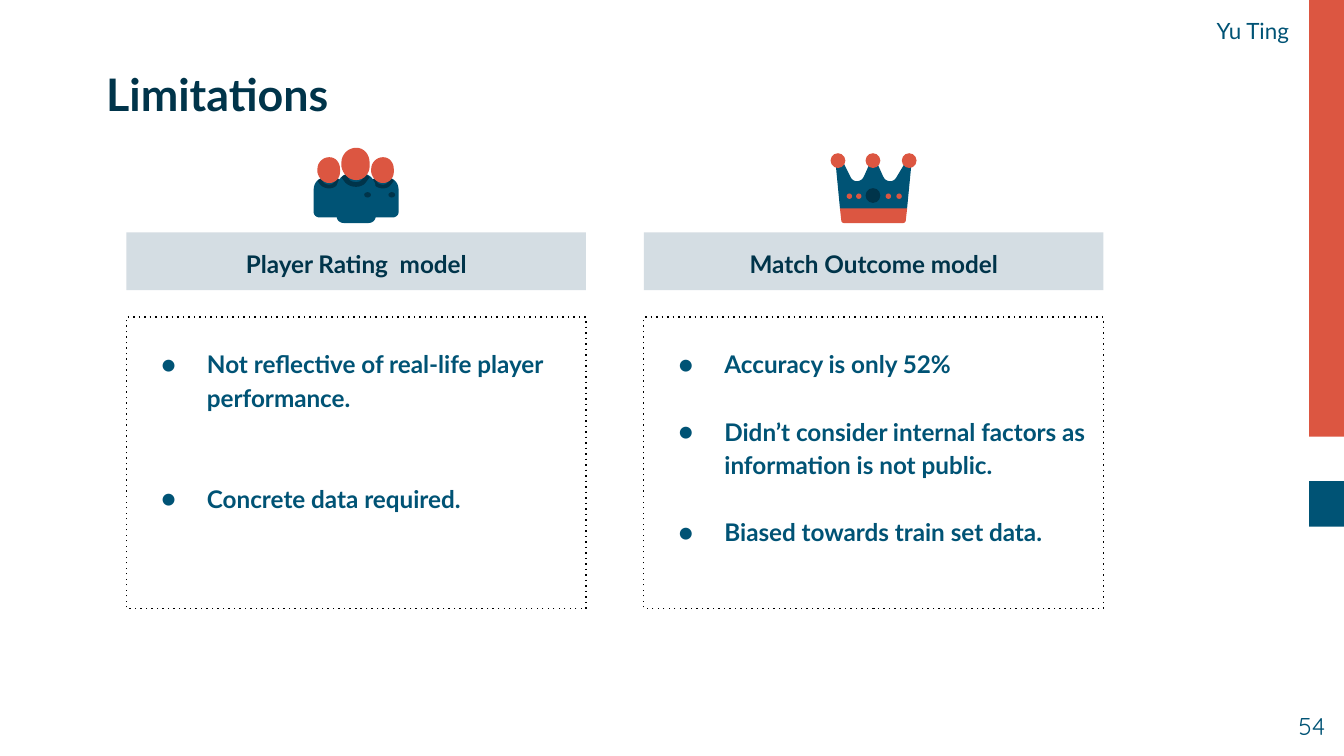
from dataclasses import dataclass

from lxml import etree
from pptx import Presentation
from pptx.dml.color import RGBColor
from pptx.enum import shapes, text
from pptx.oxml import ns
from pptx.util import Inches, Pt

COLORS = {"navy": "00344A", "blue": "005375", "red": "DC5641",
          "grey": "D4DDE3", "black": "000000"}
MSO, ALIGN, ANCHOR = shapes.MSO_SHAPE, text.PP_ALIGN, text.MSO_ANCHOR
COLUMN_WIDTH = 3.42


@dataclass
class Column:
    left: float
    heading: str
    bullets: list[str]
    gap: float  # points between bullets


COLUMNS = [
    Column(0.94, "Player Rating  model",
           ["Not reflective of real-life player performance.",
            "Concrete data required."], 36),
    Column(4.79, "Match Outcome model",
           ["Accuracy is only 52%",
            "Didn’t consider internal factors as information is not public.",
            "Biased towards train set data."], 18),
]

# Outlines: a pair is a line to a point, six numbers are a curve
HEAD = [(0, 0), (-0.06, 0, -0.11, 0.05, -0.11, 0.11), (-0.11, 0.14),
        (-0.1, 0.19, -0.06, 0.24, 0, 0.24), (0.06, 0.24, 0.1, 0.19, 0.1, 0.14),
        (0.1, 0.11), (0.1, 0.05, 0.06, 0, 0, 0)]
BODY = [(-0.04, 0.19), (-0.1, 0.19, -0.145, 0.24, -0.145, 0.3), (-0.145, 0.51),
        (-0.145, 0.54, -0.12, 0.56, -0.09, 0.56), (0.09, 0.56),
        (0.12, 0.56, 0.145, 0.54, 0.145, 0.51), (0.145, 0.3),
        (0.145, 0.24, 0.1, 0.19, 0.04, 0.19)]
COLLAR = [(-0.07, 0.2), (-0.09, 0.2, -0.1, 0.21, -0.11, 0.22), (-0.08, 0.26),
          (-0.04, 0.3, 0.04, 0.3, 0.07, 0.26), (0.1, 0.22),
          (0.09, 0.21, 0.08, 0.2, 0.07, 0.2), (0.04, 0.24),
          (0.02, 0.26, -0.02, 0.26, -0.05, 0.24)]
CROWN = [(-0.22, 0.08), (-0.28, 0.1), (-0.25, 0.41), (-0.21, 0.45),
         (0.21, 0.45), (0.25, 0.41), (0.28, 0.1), (0.23, 0.08), (0.17, 0.18),
         (0.15, 0.22, 0.09, 0.22, 0.07, 0.17), (0.03, 0.08), (-0.03, 0.08),
         (-0.07, 0.17), (-0.09, 0.22, -0.15, 0.22, -0.17, 0.18)]
CROWN_BAND = [(-0.25, 0.41), (-0.24, 0.5), (-0.24, 0.51, -0.23, 0.52, -0.22, 0.52),
              (0.22, 0.52), (0.23, 0.52, 0.24, 0.51, 0.24, 0.5), (0.25, 0.41)]


def rgb(name: str) -> RGBColor:
    return RGBColor.from_string(COLORS[name])


def paint(sp, color: str) -> None:
    sp.shadow.inherit = False
    sp.fill.solid()
    sp.fill.fore_color.rgb = rgb(color)
    sp.line.fill.background()


def add_preset(parent, kind, left: float, top: float, width: float,
               height: float, color: str) -> None:
    sp = parent.add_shape(kind, Inches(left), Inches(top), Inches(width), Inches(height))
    paint(sp, color)


def add_outline(parent, steps: list, cx: float, top: float, color: str,
                scale: float = 1) -> None:
    points = [steps[0]]
    for step in steps[1:]:
        if len(step) == 2:
            points.append(step)
            continue
        curve = [points[-1], step[:2], step[2:4], step[4:]]
        for i in range(1, 9):
            t = i / 8
            weights = ((1 - t) ** 3, 3 * t * (1 - t) ** 2, 3 * t * t * (1 - t), t ** 3)
            points.append(tuple(sum(w * c[axis] for w, c in zip(weights, curve))
                                for axis in (0, 1)))
    emu = [(Inches(cx + x * scale), Inches(top + y * scale)) for x, y in points]
    builder = parent.build_freeform(*emu[0])
    builder.add_line_segments(emu[1:], close=True)
    paint(builder.convert_to_shape(), color)


def add_person(parent, cx: float, top: float, scale: float) -> None:
    for steps, color in ((BODY, "blue"), (COLLAR, "navy"), (HEAD, "red")):
        add_outline(parent, steps, cx, top, color, scale)


def set_box(sp, left: float, top: float, width: float, height: float, anchor):
    sp.left, sp.top, sp.width, sp.height = map(Inches, (left, top, width, height))
    tf = sp.text_frame
    tf.word_wrap = True
    tf.auto_size = text.MSO_AUTO_SIZE.NONE
    tf.vertical_anchor = anchor
    tf.margin_left = tf.margin_right = tf.margin_top = tf.margin_bottom = Inches(0.1)
    return tf


def write(p, words: str, size: float, color: str, bold: bool = False,
          align=ALIGN.LEFT, font: str = "Lato", spacing: float = 1,
          before: float = 0) -> None:
    p.alignment, p.line_spacing = align, spacing
    p.space_before, p.space_after = Pt(before), Pt(0)
    r = p.add_run()
    r.text = words
    r.font.name, r.font.size, r.font.bold = font, Pt(size), bold
    r.font.color.rgb = rgb(color)


def add_bullet(p) -> None:
    pPr = p._p.get_or_add_pPr()
    pPr.set("marL", str(Inches(0.5)))
    pPr.set("indent", str(Inches(-0.34)))
    color = etree.SubElement(pPr, ns.qn("a:buClr"))
    etree.SubElement(color, ns.qn("a:srgbClr"), val=COLORS["blue"])
    etree.SubElement(pPr, ns.qn("a:buFont"), typeface="Lato")
    etree.SubElement(pPr, ns.qn("a:buChar"), char="●")


def fill_column(column: Column, heading, body) -> None:
    tf = set_box(heading, column.left, 1.73, COLUMN_WIDTH, 0.43, ANCHOR.MIDDLE)
    heading.fill.solid()
    heading.fill.fore_color.rgb = rgb("grey")
    write(tf.paragraphs[0], column.heading, 13, "navy", True, ALIGN.CENTER, spacing=1.15)

    tf = set_box(body, column.left, 2.36, COLUMN_WIDTH, 2.17, ANCHOR.TOP)
    tf.margin_top = Inches(0.21)
    body.line.color.rgb = rgb("black")
    body.line.width = Pt(0.75)
    etree.SubElement(body.line._get_or_add_ln(), ns.qn("a:prstDash"), val="dot")
    for i, words in enumerate(column.bullets):
        p = tf.add_paragraph() if i else tf.paragraphs[0]
        add_bullet(p)
        write(p, words, 13, "blue", True, spacing=1.15, before=column.gap if i else 0)


def draw_team(parent) -> None:
    for cx in (2.45, 2.85):
        add_person(parent, cx, 1.17, 0.8)
    add_person(parent, 2.65, 1.1, 1)
    for left in (2.71, 2.89):
        add_preset(parent, MSO.OVAL, left, 1.43, 0.05, 0.04, "navy")


def draw_crown(parent) -> None:
    cx, top = 6.5, 1.14
    add_outline(parent, CROWN, cx, top, "blue")
    add_outline(parent, CROWN_BAND, cx, top, "red")
    for left in (6.18, 6.44, 6.71):
        add_preset(parent, MSO.OVAL, left, top, 0.11, 0.11, "red")
    for left in (6.3, 6.37, 6.59, 6.67):
        add_preset(parent, MSO.OVAL, left, 1.44, 0.04, 0.04, "red")
    add_preset(parent, MSO.OVAL, 6.44, 1.4, 0.11, 0.11, "navy")


def main() -> None:
    prs = Presentation()
    prs.slide_width = Inches(10)
    prs.slide_height = prs.slide_width * 9 // 16
    s = prs.slides.add_slide(prs.slide_layouts.get_by_name("Comparison"))
    holders = s.placeholders

    # Side bars
    add_preset(s.shapes, MSO.RECTANGLE, 9.74, 0, 0.26, 3.25, "red")
    add_preset(s.shapes, MSO.RECTANGLE, 9.74, 3.58, 0.26, 0.34, "blue")

    # Title, presenter and page number
    tf = set_box(s.shapes.title, 0.69, 0.48, 8.82, 0.43, ANCHOR.MIDDLE)
    write(tf.paragraphs[0], "Limitations", 24, "navy", True)
    tf = set_box(s.shapes.add_textbox(0, 0, 0, 0), 6.91, 0.04, 2.78, 0.34, ANCHOR.MIDDLE)
    write(tf.paragraphs[0], "Yu Ting", 12, "blue", align=ALIGN.RIGHT, spacing=1.15)
    tf = set_box(s.shapes.add_textbox(0, 0, 0, 0), 9.36, 5.19, 0.6, 0.43, ANCHOR.TOP)
    write(tf.paragraphs[0], "54", 13, "blue", align=ALIGN.RIGHT, font="Quicksand")

    # Columns, each with its icon
    for i, (column, draw_icon) in enumerate(zip(COLUMNS, (draw_team, draw_crown))):
        fill_column(column, holders[1 + 2 * i], holders[2 + 2 * i])
        draw_icon(s.shapes.add_group_shape().shapes)

    prs.save("out.pptx")


if __name__ == "__main__":
    main()
